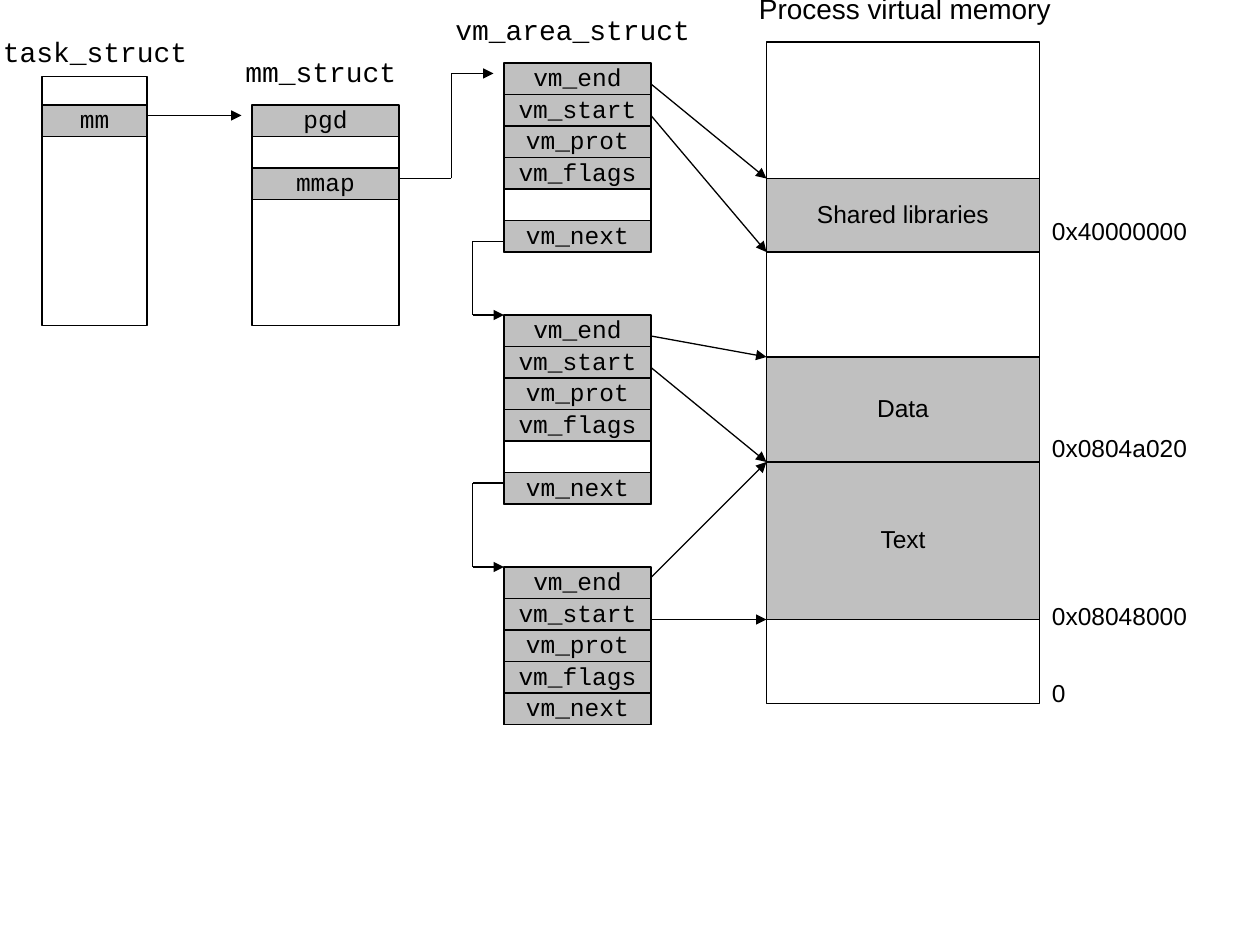
from dataclasses import dataclass
from itertools import pairwise
from typing import Optional

from lxml import etree
from pptx import Presentation, util as u
from pptx.dml.color import RGBColor
from pptx.enum import shapes, text
from pptx.oxml import ns

PX = u.Inches(1) // 120
COLORS = {"ink": "000000", "field": "C0C0C0", "paper": "FFFFFF"}
MONO, SANS = "Courier New", "Arial"
ROW = 30
FRAME_INSET = 4

Point = tuple[int, int]


@dataclass
class Block:
    """A framed column; fields are (row offset from y, name)."""
    x: int
    y: int
    width: int
    frame_top: int
    bottom: int
    fields: list[tuple[int, str]]
    fill: Optional[str] = "paper"


@dataclass
class Region:
    name: str
    top: int
    height: int


@dataclass
class Label:
    words: str
    x: int
    y: int
    width: int
    height: int
    size: int
    font: str


def color(name: str) -> RGBColor:
    return RGBColor.from_string(COLORS[name])


def write(shape, words: str, size: int, font: str, align) -> None:
    frame = shape.text_frame
    frame.text = words
    frame.word_wrap = False
    paragraph = frame.paragraphs[0]
    paragraph.alignment = align
    paragraph.line_spacing = 0.9
    run_font = paragraph.runs[0].font
    run_font.name, run_font.size = font, u.Pt(size)
    run_font.color.rgb = color("ink")


def draw_box(slide, x: int, y: int, width: int, height: int,
             fill: Optional[str], words: str = "", font: str = MONO) -> None:
    shape = slide.shapes.add_shape(
        shapes.MSO_SHAPE.RECTANGLE, x * PX, y * PX, width * PX, height * PX)
    shape.shadow.inherit = False
    if fill:
        shape.fill.solid()
        shape.fill.fore_color.rgb = color(fill)
    else:
        shape.fill.background()
    shape.line.color.rgb = color("ink")
    shape.line.width = u.Pt(0.75)
    if words:
        write(shape, words, 14, font, text.PP_ALIGN.CENTER)
        shape.text_frame.vertical_anchor = text.MSO_ANCHOR.MIDDLE


def draw_block(slide, block: Block) -> None:
    draw_box(slide, block.x, block.frame_top, block.width,
             block.bottom - block.frame_top, block.fill)
    for row, name in block.fields:
        draw_box(slide, block.x, block.y + row * ROW, block.width, ROW, "field", name)


def draw_label(slide, label: Label) -> None:
    box = slide.shapes.add_textbox(
        label.x * PX, label.y * PX, label.width * PX, label.height * PX)
    write(box, label.words, label.size, label.font, text.PP_ALIGN.LEFT)
    box.text_frame.auto_size = text.MSO_AUTO_SIZE.SHAPE_TO_FIT_TEXT


def draw_arrow(slide, *points: Point) -> None:
    """Join the points with straight lines; the last one ends in an arrowhead."""
    for start, end in pairwise(points):
        line = slide.shapes.add_connector(
            shapes.MSO_CONNECTOR.STRAIGHT, *(value * PX for value in start + end))
        line.line.color.rgb = color("ink")
        line.line.width = u.Pt(0.75)
        etree.SubElement(line._element.spPr, ns.qn("a:effectLst"))
    etree.SubElement(line.line._get_or_add_ln(), ns.qn("a:tailEnd"), type="triangle")


AREA_X, AREA_WIDTH = 480, 140
AREA_RIGHT = AREA_X + AREA_WIDTH
AREA_TOPS = (60, 300, 540)
NEXT_ROWS = (5, 5, 4)
AREA_FIELDS = ["vm_end", "vm_start", "vm_prot", "vm_flags"]

BLOCKS = [
    Block(240, 100, 140, 103, 310, [(0, "pgd"), (2, "mmap")]),
    Block(40, 100, 100, 73, 310, [(0, "mm")]),
] + [
    Block(AREA_X, top, AREA_WIDTH, top + FRAME_INSET, top + (next_row + 1) * ROW,
          [*enumerate(AREA_FIELDS), (next_row, "vm_next")], None)
    for top, next_row in zip(AREA_TOPS, NEXT_ROWS)
]

MEMORY_X, MEMORY_TOP, MEMORY_WIDTH, MEMORY_HEIGHT = 730, 40, 260, 630
REGIONS = [
    Region("Text", 440, 150),
    Region("Data", 340, 100),
    Region("Shared libraries", 170, 70),
]

# Heights at which each address arrow leaves its area and meets the memory
ADDRESS_ARROWS = [(80, 170), (110, 240), (320, 340), (350, 440), (550, 440), (590, 590)]
NEXT_ARROWS = [(230, 300), (460, 540)]
NEXT_X = 450

LABELS = [
    Label("task_struct", -9, 31, 202, 41, 16, MONO),
    Label("mm_struct", 222, 50, 170, 41, 16, MONO),
    Label("vm_area_struct", 422, 10, 250, 41, 16, MONO),
    Label("Process virtual memory", 711, -10, 304, 41, 16, SANS),
    Label("0x40000000", 990, 203, 155, 37, 14, SANS),
    Label("0x0804a020", 990, 410, 155, 37, 14, SANS),
    Label("0x08048000", 990, 570, 155, 37, 14, SANS),
    Label("0", 990, 643, 38, 37, 14, SANS),
]


def main() -> None:
    presentation = Presentation()
    presentation.slide_width, presentation.slide_height = 1200 * PX, 900 * PX
    slide = presentation.slides.add_slide(presentation.slide_layouts[6])

    draw_arrow(slide, (130, 110), (230, 110))
    for block in BLOCKS:
        draw_block(slide, block)
    draw_box(slide, MEMORY_X, MEMORY_TOP, MEMORY_WIDTH, MEMORY_HEIGHT, "paper")
    for region in REGIONS:
        draw_box(slide, MEMORY_X, region.top, MEMORY_WIDTH, region.height,
                 "field", region.name, SANS)

    draw_arrow(slide, (380, 170), (430, 170), (430, 70), (470, 70))
    for start, end in ADDRESS_ARROWS:
        draw_arrow(slide, (AREA_RIGHT, start), (MEMORY_X, end))
    for start, end in NEXT_ARROWS:
        draw_arrow(slide, (AREA_X, start), (NEXT_X, start), (NEXT_X, end), (AREA_X, end))
    for label in LABELS:
        draw_label(slide, label)

    presentation.save("out.pptx")


if __name__ == "__main__":
    main()
